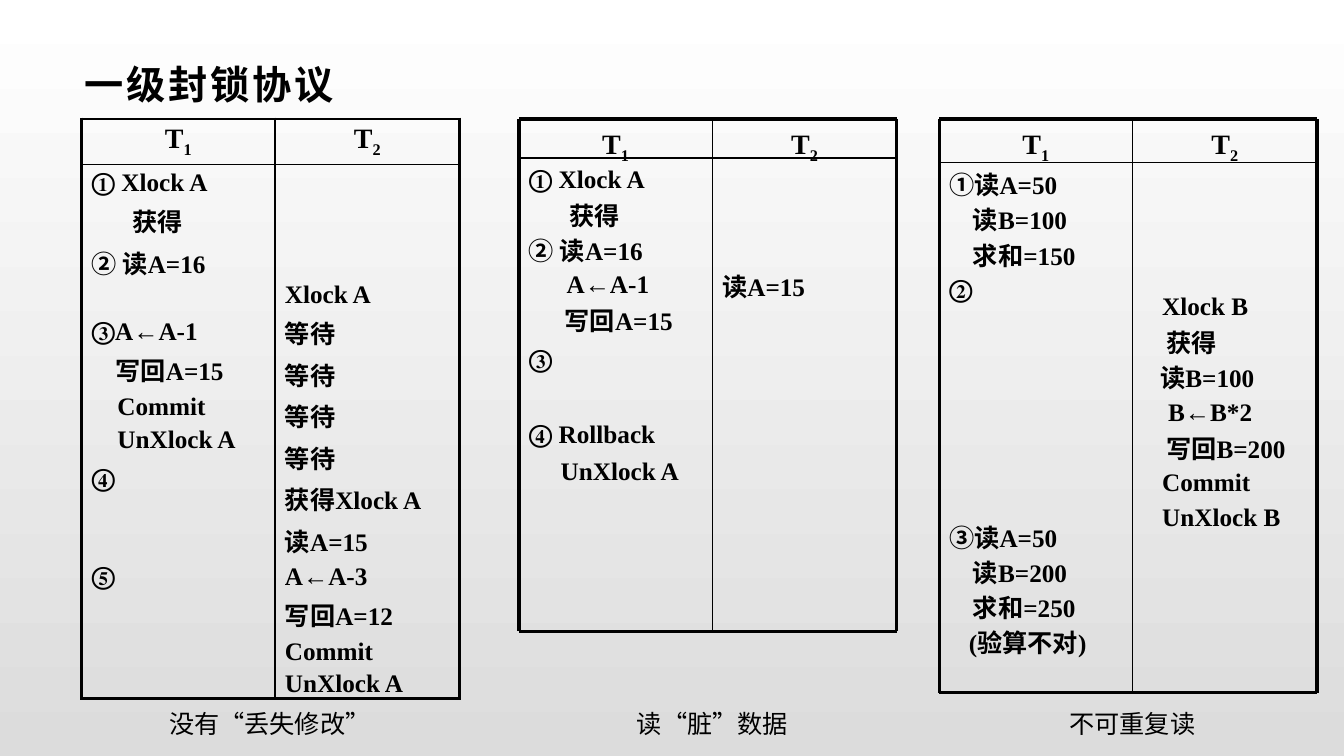
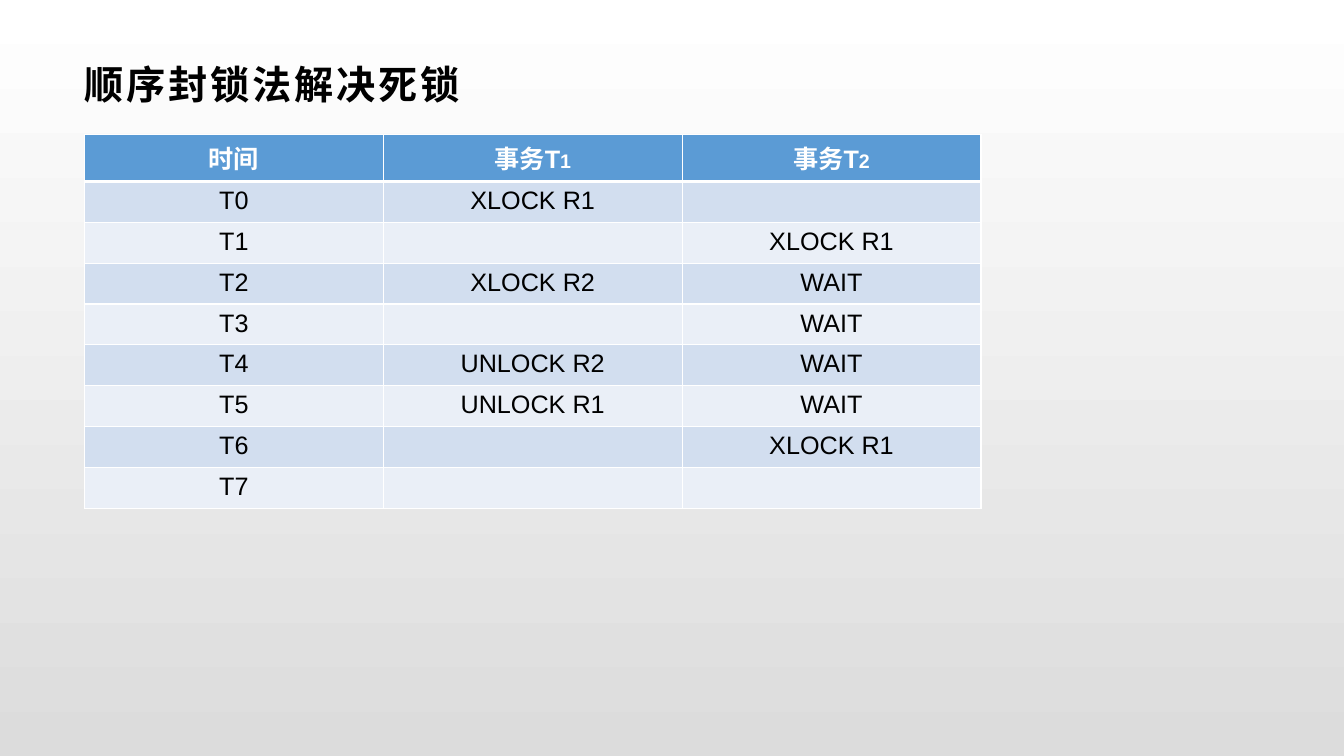
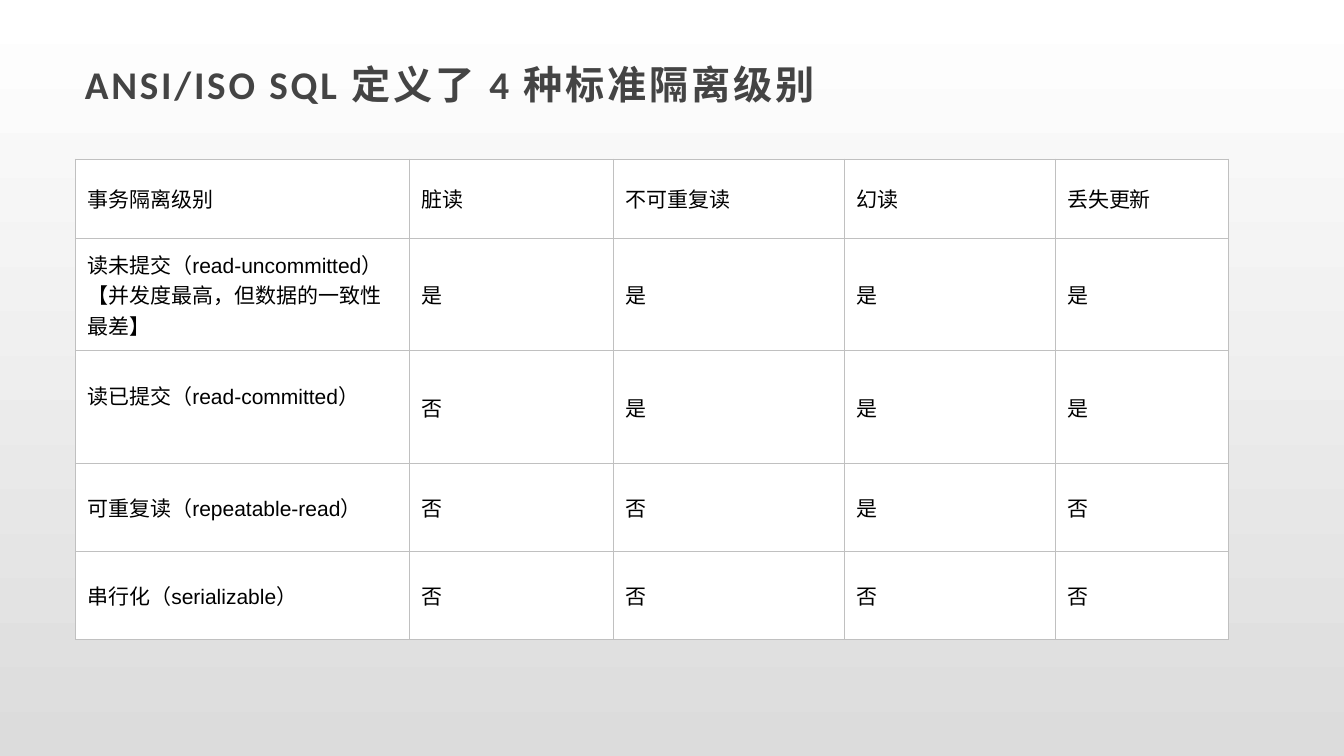
"""Builds three slides on database locking protocols and isolation levels."""
from dataclasses import dataclass

from lxml import etree
from pptx import Presentation
from pptx import util as u
from pptx.dml.color import RGBColor
from pptx.enum import shapes, text
from pptx.oxml.ns import qn

Cm, Pt = u.Cm, u.Pt
TOP, MIDDLE = text.MSO_ANCHOR.TOP, text.MSO_ANCHOR.MIDDLE
LEFT, CENTER = text.PP_ALIGN.LEFT, text.PP_ALIGN.CENTER
SIDES = ("margin_left", "margin_top", "margin_right", "margin_bottom")


@dataclass(frozen=True)
class Theme:
    black: str = "000000"
    white: str = "FFFFFF"
    gray: str = "DCDCDC"
    title_gray: str = "444444"
    rule: str = "C0C0C0"
    header: str = "5B9BD5"
    bands: tuple = ("D2DEEF", "EAEFF7")
    sans: str = "Arial"
    serif: str = "Times New Roman"
    latin: str = "Calibri"
    title_size: int = 28
    head_size: int = 20
    body_size: int = 18
    grid_size: int = 15
    small_size: int = 14
    thick: float = 2.25
    thin: float = 1


T = Theme()


def set_all(obj, values):
    for name, value in values.items():
        setattr(obj, name, value)


def set_margins(obj, margins):
    set_all(obj, dict(zip(SIDES, map(Cm, margins))))


class Deck:
    def __init__(self):
        self.prs = Presentation()
        set_all(self.prs, {"slide_width": Cm(33.87), "slide_height": Cm(19.05)})
        fill = self.prs.slide_master.background.fill
        fill.gradient()
        fill.gradient_angle = 270
        for stop, color in zip(fill.gradient_stops, (T.white, T.gray)):
            stop.color.rgb = RGBColor.from_string(color)

    def slide(self, title, font=T.sans, color=T.black):
        self.s = self.prs.slides.add_slide(self.prs.slide_layouts[6])
        tf = self.box(self.s, 1.86, 1.21, 30.15, 1.8)
        set_all(tf, {"word_wrap": True, "vertical_anchor": MIDDLE})
        set_margins(tf, (0.28, 0.1, 0.2, 0.1))
        r = self.run(tf.paragraphs[0], title, font=font, color=color,
                     size=T.title_size, bold=True)
        r.font._element.set("spc", "200")

    def box(self, parent, x, y, w, h):
        return parent.shapes.add_textbox(Cm(x), Cm(y), Cm(w), Cm(h)).text_frame

    def line(self, parent, x1, y1, x2, y2, width):
        c = parent.shapes.add_connector(shapes.MSO_CONNECTOR.STRAIGHT,
                                        Cm(x1), Cm(y1), Cm(x2), Cm(y2))
        c.line.color.rgb = RGBColor.from_string(T.black)
        c.line.width = Pt(width)
        etree.SubElement(c._element.spPr, qn("a:effectLst"))

    def run(self, p, words, size=T.body_size, font=T.sans, color=T.black,
            bold=False):
        r = p.add_run()
        r.text = words
        set_all(r.font, {"size": Pt(size), "name": font, "bold": bold})
        r.font.color.rgb = RGBColor.from_string(color)
        return r

    def caption(self, words, x, w):
        tf = self.box(self.s, x, 17.73, w, 1.02)
        tf.word_wrap = False
        self.run(tf.paragraphs[0], words)

    def table(self, x, y, cols, rows):
        frame = self.s.shapes.add_table(len(rows), len(cols), Cm(x), Cm(y),
                                        Cm(sum(cols)), Cm(sum(rows)))
        tbl = frame.table
        set_all(tbl, {"first_row": False, "horz_banding": False})
        for col, w in zip(tbl.columns, cols):
            col.width = Cm(w)
        for row, h in zip(tbl.rows, rows):
            row.height = Cm(h)
        return tbl

    def cell(self, c, edges, fill=None, margins=(0.25, 0.13, 0.25, 0.13),
             anchor=TOP):
        tcPr = c._tc.get_or_add_tcPr()
        for side, (color, width) in zip("LRTB", edges):
            ln = etree.SubElement(tcPr, qn("a:ln" + side), w=str(Pt(width)))
            solid = etree.SubElement(ln, qn("a:solidFill"))
            etree.SubElement(solid, qn("a:srgbClr"), val=color)
        if fill:
            c.fill.solid()
            c.fill.fore_color.rgb = RGBColor.from_string(fill)
        else:
            c.fill.background()
        set_margins(c, margins)
        c.vertical_anchor = anchor

    def para(self, tf, i, words, align=LEFT, indent=0, gap=0, line=None, **style):
        p = tf.paragraphs[0] if i == 0 else tf.add_paragraph()
        p.alignment = align
        if indent:
            p._p.get_or_add_pPr().set("marL", str(Cm(indent)))
        if gap:
            p.space_before = Pt(gap)
        if line:
            p.line_spacing = Pt(line)
        if words:
            self.run(p, words, **style)
        else:
            p.font.size = Pt(style["size"])
        return p

    def transaction(self, tf, number):
        style = {"font": T.serif, "bold": True, "size": T.head_size}
        p = self.para(tf, 0, "T", CENTER, **style)
        sub = self.run(p, str(number), **style)
        sub.font._element.set("baseline", "-25000")

    def steps(self, tf, steps):
        for i, (words, indent, gap) in enumerate(steps):
            self.para(tf, i, words, indent=indent, gap=gap, line=20,
                      font=T.serif, bold=True)

    def schedule_table(self, x, y, cols, rows, columns):
        tbl = self.table(x, y, cols, rows)
        thick, thin = (T.black, T.thick), (T.black, T.thin)
        for j, (top, steps) in enumerate(columns):
            sides = (thin, thick) if j else (thick, thin)
            head, body = tbl.cell(0, j), tbl.cell(1, j)
            self.cell(head, (*sides, thick, thin), margins=(0.25, 0.11, 0.25, 0))
            self.transaction(head.text_frame, j + 1)
            self.cell(body, (*sides, thin, thick), margins=(0.25, top, 0.1, 0))
            self.steps(body.text_frame, steps)

    def schedule_ruled(self, x, y, cols, rows, columns):
        group = self.s.shapes.add_group_shape()
        xs = (x, x + cols[0], x + sum(cols))
        ys = (y, y + rows[0], y + sum(rows))
        for j, (top, steps) in enumerate(columns):
            body = self.box(group, xs[j], ys[1], cols[j], rows[1])
            head = self.box(group, xs[j], ys[0], cols[j], rows[0])
            for tf, margin in ((body, top), (head, 0.19)):
                tf.word_wrap = True
                set_margins(tf, (0.25, margin, 0.1 if tf is body else 0.25, 0))
            self.steps(body, steps)
            self.transaction(head, j + 1)
        for i, width in enumerate((T.thick, T.thin, T.thick)):
            self.line(group, xs[0], ys[i], xs[2], ys[i], width)
            self.line(group, xs[i], ys[0], xs[i], ys[2], width)

    def timeline(self, x, y, header, rows):
        tbl = self.table(x, y, (7.53,) * 3, (1.18, *(1.03,) * len(rows)))
        thin, thick = (T.white, 1), (T.white, 3)
        for j, (words, sub) in enumerate(header):
            c = tbl.cell(0, j)
            self.cell(c, (thin, thin, thin, thick), T.header)
            style = {"color": T.white, "bold": True}
            p = self.para(c.text_frame, 0, words, CENTER, **style)
            if sub:
                self.run(p, sub, size=T.small_size, **style)
        for i, row in enumerate(rows):
            for j, words in enumerate(row):
                c = tbl.cell(i + 1, j)
                top = thin if i else thick
                self.cell(c, (thin, thin, top, thin), T.bands[i % 2])
                self.para(c.text_frame, 0, words, CENTER, size=T.body_size)

    def grid(self, x, y, cols, heights, rows, raised):
        tbl = self.table(x, y, cols, heights)
        for i, row in enumerate(rows):
            for j, words in enumerate(row):
                c = tbl.cell(i, j)
                bottom = 0.78 if (i, j) == raised else 0.18
                self.cell(c, ((T.rule, 0.75),) * 4, T.white,
                          (0.3, 0.18, 0.3, bottom), MIDDLE)
                for k, part in enumerate(words.split("\n")):
                    self.para(c.text_frame, k, part, size=T.grid_size)


LOST_UPDATE = (
    (0.12, (("① Xlock A", 0, 0), ("获得", 1.03, 9.5), ("② 读A=16", 0, 10.5),
            ("③A←A-1", 0, 26.5), ("写回A=15", 0.6, 9.5), ("Commit", 0.65, 4),
            ("UnXlock A", 0.65, 3.5), ("④", 0, 7.5), ("⑤", 0, 50.5))),
    (2.94, (("Xlock A", 0, 0), ("等待", 0, 10), ("等待", 0, 9.5),
            ("等待", 0, 9.5), ("等待", 0, 10), ("获得Xlock A", 0, 9.5),
            ("读A=15", 0, 9.5), ("A←A-3", 0, 3), ("写回A=12", 0, 10),
            ("Commit", 0, 3.5), ("UnXlock A", 0, 3.5))))
DIRTY_READ = (
    (0.18, (("① Xlock A", 0, 0), ("获得", 1.03, 7), ("② 读A=16", 0, 5),
            ("A←A-1", 0.95, 3), ("写回A=15", 0.9, 6.5), ("③", 0, 7.5),
            ("④ Rollback", 0, 33.5), ("UnXlock A", 0.8, 6))),
    (5.11, (("读A=15", 0, 0),)))
UNREPEATABLE = (
    (0.23, (("①读A=50", 0, 0), ("读B=100", 0.6, 5), ("求和=150", 0.6, 6),
            ("②", 0, 3.5), ("③读A=50", 0, 158), ("读B=200", 0.6, 5),
            ("求和=250", 0.6, 5), ("(验算不对)", 0.5, 5))),
    (3.28, (("Xlock B", 0.5, 0), ("获得", 0.6, 6.5), ("读B=100", 0.45, 5),
            ("B←B*2", 0.65, 4), ("写回B=200", 0.6, 6.5),
            ("Commit", 0.5, 4), ("UnXlock B", 0.5, 5))))
LOCK_ORDER = (
    ("T0", "XLOCK R1", ""), ("T1", "", "XLOCK R1"),
    ("T2", "XLOCK R2", "WAIT"), ("T3", "", "WAIT"),
    ("T4", "UNLOCK R2", "WAIT"), ("T5", "UNLOCK R1", "WAIT"),
    ("T6", "", "XLOCK R1"), ("T7", "", ""))
ISOLATION = (
    ("事务隔离级别", "脏读", "不可重复读", "幻读", "丢失更新"),
    ("读未提交（read-uncommitted）\n【并发度最高，但数据的一致性最差】",
     "是", "是", "是", "是"),
    ("读已提交（read-committed）", "否", "是", "是", "是"),
    ("可重复读（repeatable-read）", "否", "否", "是", "否"),
    ("串行化（serializable）", "否", "否", "否", "否"))


def main():
    deck = Deck()
    cols = (4.87, 4.65)

    deck.slide("一级封锁协议")
    deck.schedule_table(2.06, 3, cols, (1.14, 13.3), LOST_UPDATE)
    deck.caption("没有“丢失修改”", 4.01, 5.59)
    deck.schedule_ruled(13.08, 3, cols, (0.98, 11.93), DIRTY_READ)
    deck.caption("读“脏”数据", 15.8, 4.32)
    deck.schedule_ruled(23.67, 3, cols, (1.09, 13.36), UNREPEATABLE)
    deck.caption("不可重复读", 26.7, 3.68)

    deck.slide("顺序封锁法解决死锁")
    deck.timeline(2.13, 3.39, (("时间", ""), ("事务T", "1"), ("事务T", "2")),
                  LOCK_ORDER)

    deck.slide("ANSI/ISO SQL 定义了 4 种标准隔离级别", T.latin, T.title_gray)
    deck.grid(1.9, 4.01, (8.41, 5.16, 5.82, 5.3, 4.37),
              (1.99, 2.84, 2.84, 2.22, 2.21), ISOLATION, raised=(2, 0))

    deck.prs.save("out.pptx")


if __name__ == "__main__":
    main()
